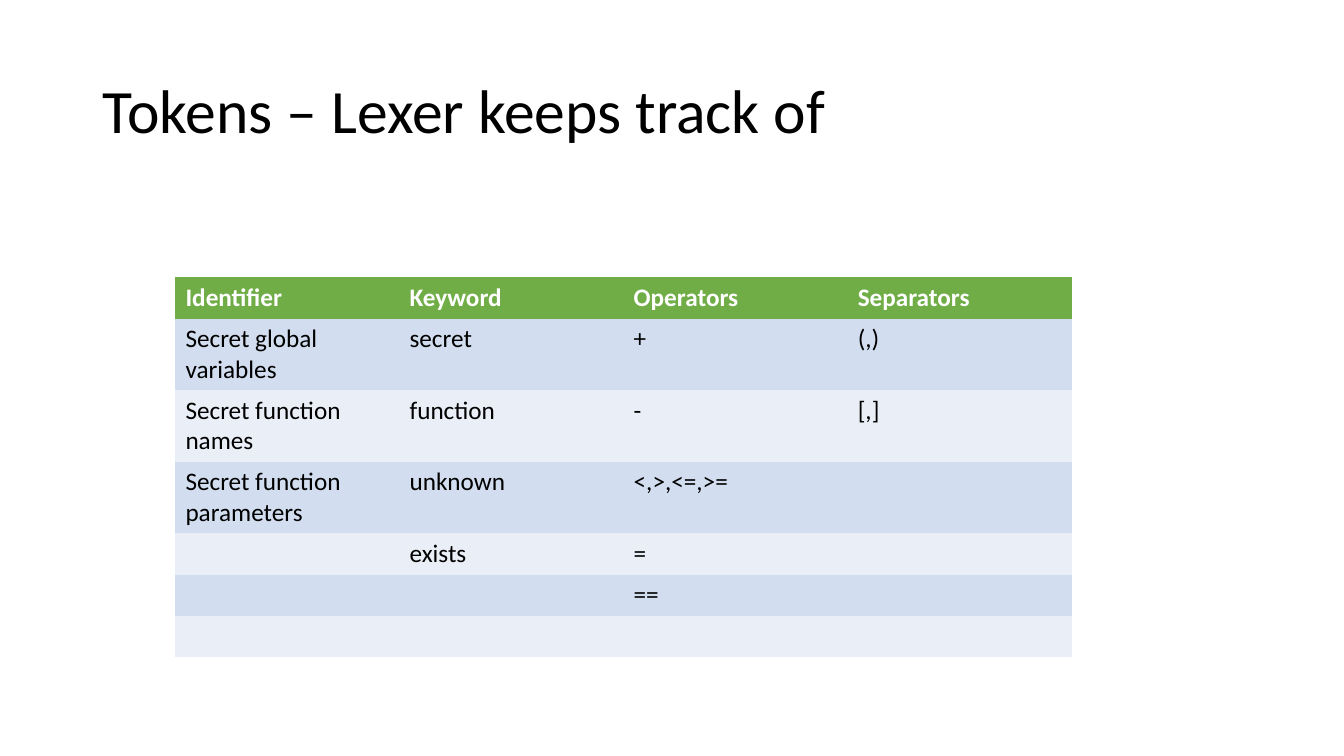
from pptx import Presentation
from pptx.dml.color import RGBColor
from pptx.enum.text import MSO_ANCHOR, PP_ALIGN
from pptx.util import Inches, Pt

BLACK = RGBColor(0x00, 0x00, 0x00)
WHITE = RGBColor(0xFF, 0xFF, 0xFF)
GREEN = RGBColor(0x70, 0xAD, 0x47)
BANDS = (RGBColor(0xEA, 0xEF, 0xF7), RGBColor(0xD2, 0xDE, 0xEF))
NO_STYLE = "{2D5ABB26-0587-4C30-8999-92F81FD0307C}"

TITLE = "Tokens – Lexer keeps track of"
TOKENS = [
    ("Identifier", "Keyword", "Operators", "Separators"),
    ("Secret global variables", "secret", "+", "(,)"),
    ("Secret function names", "function", "-", "[,]"),
    ("Secret function parameters", "unknown", "<,>,<=,>=", ""),
    ("", "exists", "=", ""),
    ("", "", "==", ""),
    ("", "", "", ""),
]


def set_font(font, size, color, bold=False):
    values = {"name": "Calibri", "size": Pt(size), "bold": bold}
    for name, value in values.items():
        setattr(font, name, value)
    font.color.rgb = color


def add_title(s, text, left, top, width, height):
    title = s.shapes.title
    box = {"left": left, "top": top, "width": width, "height": height}
    for name, value in box.items():
        setattr(title, name, Inches(value))
    tf = title.text_frame
    tf.text = text
    tf.word_wrap = True
    tf.vertical_anchor = MSO_ANCHOR.MIDDLE
    p = tf.paragraphs[0]
    p.alignment = PP_ALIGN.LEFT
    p.line_spacing = 0.9
    set_font(p.runs[0].font, 44, BLACK)


def add_token_table(s, rows, left, top, width, row_height):
    frame = s.shapes.add_table(
        len(rows), len(rows[0]), Inches(left), Inches(top),
        Inches(width), Inches(row_height * len(rows)))
    table = frame.table
    # Plain style: no grid lines between the filled cells
    table._tbl.tblPr.find("{*}tableStyleId").text = NO_STYLE
    for i, row in enumerate(rows):
        header = i == 0
        for j, text in enumerate(row):
            cell = table.cell(i, j)
            cell.fill.solid()
            cell.fill.fore_color.rgb = GREEN if header else BANDS[i % 2]
            p = cell.text_frame.paragraphs[0]
            if text:
                r = p.add_run()
                r.text = text
                set_font(r.font, 18, WHITE if header else BLACK, header)


prs = Presentation()
prs.slide_width, prs.slide_height = Inches(13.33), Inches(7.5)
s = prs.slides.add_slide(prs.slide_layouts[5])

# Title
add_title(s, TITLE, 0.92, 0.4, 11.5, 1.45)

# Token classes
add_token_table(s, TOKENS, 1.74, 2.75, 8.89, 0.41)

prs.save("out.pptx")
